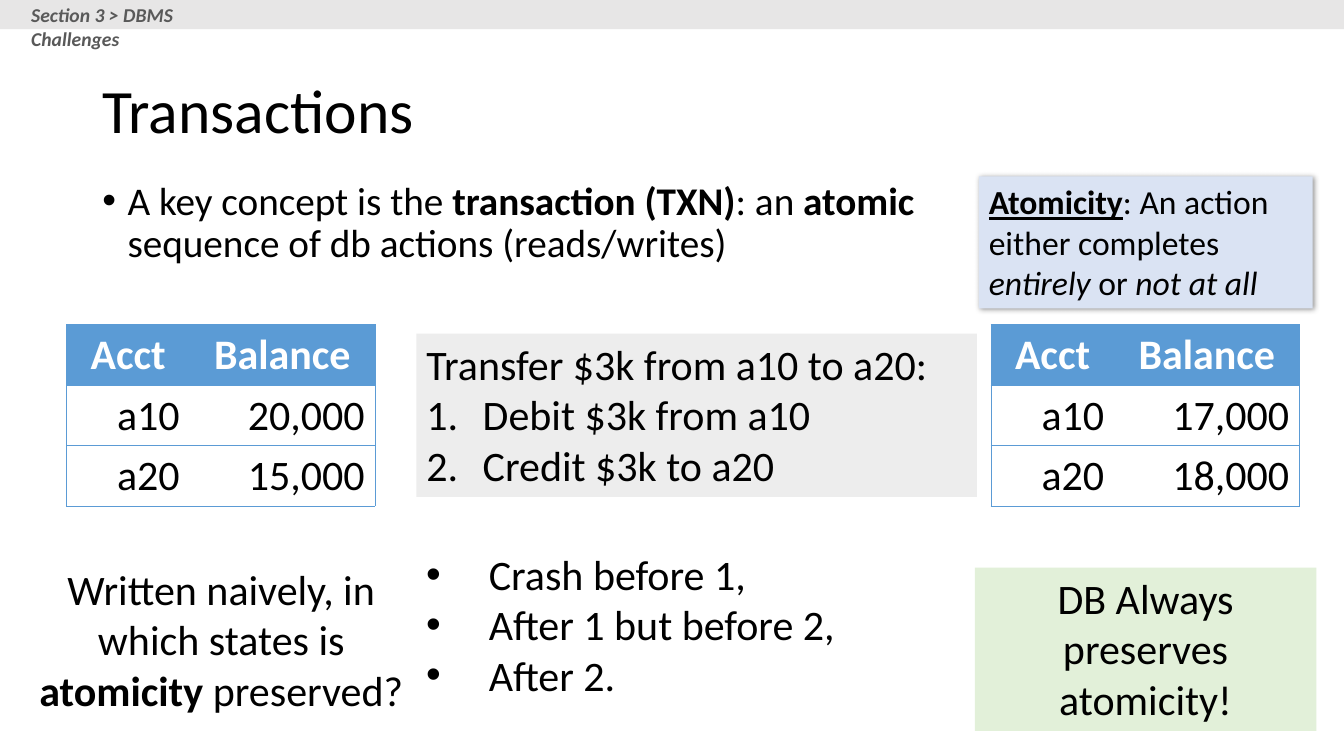
import pptx
import pptx.util
import pptx.dml.color
import pptx.enum.shapes
import pptx.enum.text
import pptx.oxml
import pptx.oxml.ns
from lxml import etree

RGBColor = pptx.dml.color.RGBColor
ALIGN = pptx.enum.text.PP_ALIGN
ANCHOR = pptx.enum.text.MSO_ANCHOR

BLACK = RGBColor(0x00, 0x00, 0x00)
WHITE = RGBColor(0xFF, 0xFF, 0xFF)
DARK_GRAY = RGBColor(0x59, 0x59, 0x59)
BAR_GRAY = RGBColor(0xE7, 0xE6, 0xE6)
PANEL_GRAY = RGBColor(0xED, 0xED, 0xED)
PALE_BLUE = RGBColor(0xDA, 0xE3, 0xF3)
PALE_GREEN = RGBColor(0xE2, 0xF0, 0xD9)
TABLE_BLUE = RGBColor(0x5B, 0x9B, 0xD5)

WIDTH = pptx.util.Inches(13.33)
HEIGHT = pptx.util.Inches(7.5)
FONT = "Calibri"
DOT = ("buChar", {"char": "•"})
NUMBER = ("buAutoNum", {"type": "arabicPeriod"})

MIDDLE_LEFT = 30.98
PANEL_HEIGHT = 21.6
TABLE_TOP, TABLE_WIDTH, TABLE_HEIGHT = 42.93, 22.95, 24


def place(left, top, width, height):
    return (int(WIDTH * left / 100), int(HEIGHT * top / 100),
            int(WIDTH * width / 100), int(HEIGHT * height / 100))


def add_element(parent, tag, **attributes):
    return etree.SubElement(parent, pptx.oxml.ns.qn("a:" + tag), attributes)


def set_bullet(para, bullet, indent):
    properties = para._p.get_or_add_pPr()
    offset = int(pptx.util.Inches(indent))
    properties.set("marL", str(offset))
    properties.set("indent", str(-offset))
    tag, attributes = bullet
    if bullet is DOT:
        add_element(properties, "buFont", typeface="Arial")
    add_element(properties, tag, **attributes)


def set_font(para, size, color=BLACK, bold=None, italic=None):
    para.font.name = FONT
    para.font.size = pptx.util.Pt(size)
    para.font.color.rgb = color
    para.font.bold = bold
    para.font.italic = italic


def write_spans(para, spans):
    for text, style in spans:
        span = para.add_run()
        span.text = text
        if "b" in style:
            span.font.bold = True
        if "i" in style:
            span.font.italic = True
        if "u" in style:
            span.font.underline = True


def write_lines(box, lines, size, align=ALIGN.LEFT, anchor=ANCHOR.TOP,
                indent=0, spacing=None, **font):
    frame = box.text_frame
    frame.word_wrap = True
    frame.vertical_anchor = anchor
    for index, (bullet, spans) in enumerate(lines):
        para = frame.add_paragraph() if index else frame.paragraphs[0]
        para.alignment = align
        para.line_spacing = spacing
        if bullet:
            set_bullet(para, bullet, indent)
        set_font(para, size, **font)
        write_spans(para, spans)


def add_text(page, area, lines, size, **options):
    box = page.shapes.add_textbox(*place(*area))
    write_lines(box, lines, size, **options)


def add_panel(page, area, fill):
    panel = page.shapes.add_shape(
        pptx.enum.shapes.MSO_SHAPE.RECTANGLE, *place(*area))
    panel.shadow.inherit = False
    panel.fill.solid()
    panel.fill.fore_color.rgb = fill
    panel.line.fill.background()
    return panel


def add_shadow(panel):
    effects = panel._element.spPr.find(pptx.oxml.ns.qn("a:effectLst"))
    shadow = add_element(effects, "outerShdw", blurRad=str(pptx.util.Pt(4)),
                         dist=str(pptx.util.Pt(1)), dir="2700000",
                         algn="tl", rotWithShape="0")
    color = add_element(shadow, "srgbClr", val=str(BLACK))
    add_element(color, "alpha", val="40000")


def set_borders(cell, hidden_side):
    properties = cell._tc.get_or_add_tcPr()
    for position, side in enumerate(("lnL", "lnR", "lnT", "lnB")):
        line = add_element(properties, side, w=str(pptx.util.Pt(0.5)))
        properties.insert(position, line)
        if side == hidden_side:
            add_element(line, "noFill")
        else:
            fill = add_element(line, "solidFill")
            add_element(fill, "srgbClr", val=str(TABLE_BLUE))


def add_accounts(page, left, balances):
    area = place(left, TABLE_TOP, TABLE_WIDTH, TABLE_HEIGHT)
    rows = [("Acct", "Balance"), *balances]
    table = page.shapes.add_table(len(rows), 2, *area).table
    table.horz_banding = False
    for column, share in zip(table.columns, (0.4, 0.6)):
        column.width = int(area[2] * share)
    for row_index, row in enumerate(rows):
        header = row_index == 0
        for column_index, text in enumerate(row):
            cell = table.cell(row_index, column_index)
            if header:
                cell.fill.solid()
                cell.fill.fore_color.rgb = TABLE_BLUE
            else:
                cell.fill.background()
            set_borders(cell, "lnL" if column_index else "lnR")
            para = cell.text_frame.paragraphs[0]
            para.alignment = ALIGN.CENTER if header else ALIGN.RIGHT
            set_font(para, 30, WHITE if header else BLACK, bold=header)
            write_spans(para, [(text, "")])


def add_heading(page):
    add_panel(page, (0, 0, 100, 3.87), BAR_GRAY)
    add_text(page, (1.58, -0.27, 17.25, 4.53),
             [(None, [("Section 3 > DBMS Challenges", "")])],
             14, color=DARK_GRAY, bold=True, italic=True)
    add_text(page, (6.88, 5.33, 86.25, 19.33),
             [(None, [("Transactions", "")])],
             44, anchor=ANCHOR.MIDDLE, spacing=0.9)


def add_definitions(page):
    concept = [("A key concept is the ", ""), ("transaction (TXN)", "b"),
               (": an ", ""), ("atomic ", "b"),
               ("sequence of db actions (reads/writes)", "")]
    add_text(page, (6.88, 23.33, 62.92, 17.47), [(DOT, concept)], 28,
             indent=0.25, spacing=0.9)
    atomicity = [("Atomicity", "bu"), (": An action either completes ", ""),
                 ("entirely", "i"), (" or ", ""), ("not at all", "i")]
    panel = add_panel(page, (72.83, 23.33, 24.83, 17.47), PALE_BLUE)
    add_shadow(panel)
    write_lines(panel, [(None, atomicity)], 24)


def add_transfer(page):
    add_accounts(page, 4.95, [("a10", "20,000"), ("a20", "15,000")])
    add_accounts(page, 73.73, [("a10", "17,000"), ("a20", "18,000")])
    panel = add_panel(page, (MIDDLE_LEFT, 44.13, 41.7, PANEL_HEIGHT), PANEL_GRAY)
    write_lines(panel, [
        (None, [("Transfer $3k from a10 to a20:", "")]),
        (NUMBER, [("Debit $3k from a10", "")]),
        (NUMBER, [("Credit $3k to a20", "")]),
    ], 30, indent=0.56)


def add_question(page):
    crashes = ("Crash before 1,", "After 1 but before 2,", "After 2.")
    add_text(page, (MIDDLE_LEFT, 71.87, 40.73, PANEL_HEIGHT),
             [(DOT, [(text, "")]) for text in crashes], 30, indent=0.62)
    question = [("Written naively, in which states is ", ""),
                ("atomicity", "b"), (" preserved?", "")]
    add_text(page, (1.58, 73.87, 29.78, PANEL_HEIGHT), [(None, question)], 30,
             align=ALIGN.CENTER)
    panel = add_panel(page, (72.53, 75.07, 25.43, PANEL_HEIGHT), PALE_GREEN)
    write_lines(panel, [(None, [("DB Always preserves atomicity!", "")])], 30,
                align=ALIGN.CENTER)


def main():
    deck = pptx.Presentation()
    deck.slide_width = WIDTH
    deck.slide_height = HEIGHT
    page = deck.slides.add_slide(deck.slide_layouts[6])
    add_heading(page)
    add_definitions(page)
    add_transfer(page)
    add_question(page)
    deck.save("out.pptx")


if __name__ == "__main__":
    main()
